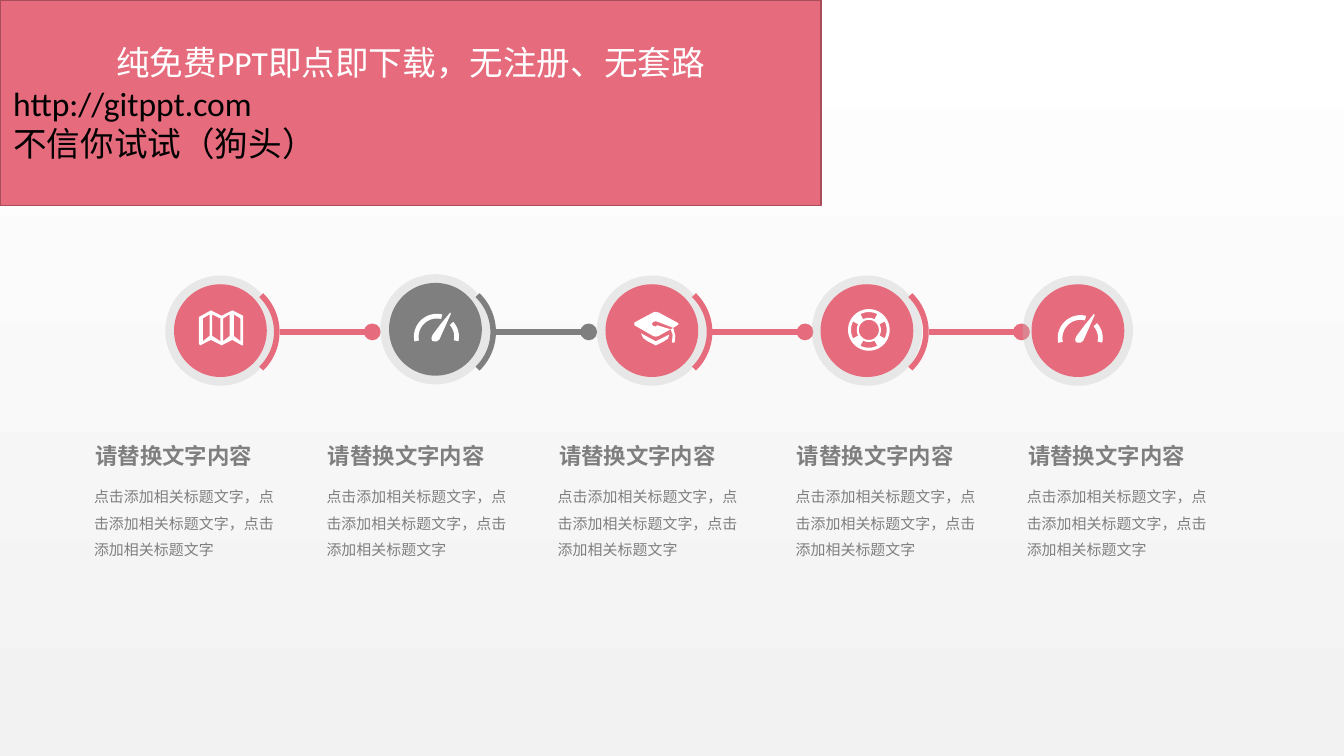
from math import cos, radians, sin
from lxml import etree
from pptx import Presentation
from pptx.dml.color import RGBColor
from pptx.enum.shapes import MSO_CONNECTOR, MSO_SHAPE
from pptx.enum.text import MSO_ANCHOR, MSO_AUTO_SIZE, PP_ALIGN
from pptx.oxml.ns import qn
from pptx.util import Inches, Pt

OVAL, RECT, ARC = MSO_SHAPE.OVAL, MSO_SHAPE.RECTANGLE, MSO_SHAPE.ARC
LINE = MSO_CONNECTOR.STRAIGHT
MID, TOP = MSO_ANCHOR.MIDDLE, MSO_ANCHOR.TOP
LEFT, MIDDLE = PP_ALIGN.LEFT, PP_ALIGN.CENTER
GROW, FIXED = MSO_AUTO_SIZE.SHAPE_TO_FIT_TEXT, MSO_AUTO_SIZE.NONE

WIDTH = 10
HEIGHT = WIDTH * 9 / 16

THEME = {
    "pink": "E66C7D", "grey": "7F7F7F", "halo": "BFBFBF", "edge": "A94D5A",
    "white": "FFFFFF", "black": "000000", "fog": "F2F2F2",
    "head": 12, "body": 8, "promo": 18,
    "sans": "Calibri", "text": "Arial",
}

PROMO = [
    ("纯免费PPT即点即下载，无注册、无套路", "white", MIDDLE),
    ("http://gitppt.com", "black", LEFT),
    ("不信你试试（狗头）", "black", LEFT),
]
HEAD = "请替换文字内容"
BODY = "点击添加相关标题文字，点击添加相关标题文字，点击添加相关标题文字"

STEPS = [
    {"x": 1.23, "y": 2.05, "col": 0.63, "tint": "pink", "icon": "map", "off": (0.25, 0.26)},
    {"x": 2.83, "y": 2.04, "col": 2.36, "tint": "grey", "icon": "gauge", "off": (0.25, 0.28)},
    {"x": 4.44, "y": 2.05, "col": 4.08, "tint": "pink", "icon": "cap", "off": (0.28, 0.27)},
    {"x": 6.04, "y": 2.05, "col": 5.85, "tint": "pink", "icon": "buoy", "off": (0.27, 0.25)},
    {"x": 7.61, "y": 2.05, "col": 7.57, "tint": "pink", "icon": "gauge", "off": (0.26, 0.28)},
]
HALO, DISC = 0.82, 0.69
AXIS, REACH, SWEEP = 2.47, 0.38, 46
LINK_X, PITCH, LINK_W = 2.08, 1.61, 0.69


def curve(mid, r, start, end):
    count = max(8, abs(end - start) // 6)
    turns = [radians(start + (end - start) * i / count) for i in range(count + 1)]
    return [(mid[0] + r * cos(t), mid[1] + r * sin(t)) for t in turns]


def band(mid, outer, inner, start, end):
    return curve(mid, outer, start, end) + curve(mid, inner, end, start)


DIAL, HUB = (17, 18.5), (15.5, 15.5)
ICONS = {
    "map": [
        [(0, 5), (9, 0), (17, 4), (25, 0), (33, 4), (33, 26), (32, 26),
         (25, 22), (17, 26), (9, 22), (1, 26), (0, 25)],
        [(3, 6), (8, 3), (8, 19), (3, 23)],
        [(10, 3), (16, 6), (16, 23), (10, 19)],
        [(18, 6), (23, 3), (23, 19), (18, 23)],
        [(26, 3), (31, 6), (31, 23), (26, 19)],
    ],
    "gauge": [
        [(14, 17), (13, 19.5), (13.5, 21.5), (15, 22), (17, 22), (19, 20.5),
         (27.5, 1.5), (27, 0.5), (20, 9)],
        band(DIAL, 17, 13.5, 168, 284),
        band(DIAL, 16.5, 13, 318, 372),
    ],
    "cap": [
        [(32, 8), (18, 0.5), (16, 0), (14, 0.5), (0, 8), (0, 10), (14, 18),
         (16, 18.5), (18, 18), (27, 13), (17, 10), (16, 11), (14, 10.5),
         (13, 9), (14, 7.5), (16, 7), (19, 8), (29, 12), (32, 10), (33, 9)],
        [(5, 16), (6.5, 19.5), (10, 22), (16, 25), (22, 22), (25, 20),
         (26, 17), (16, 22)],
        [(28, 23), (30, 23), (30.5, 18), (29, 12), (27, 13), (28.5, 17)],
    ],
    "buoy": [curve(HUB, 15.5, 0, 360), curve(HUB, 7.5, 0, 360)]
    + [band(HUB, 13.3, 9, a - 28, a + 28) for a in (0, 90, 180, 270)],
}


def tone(name):
    return RGBColor.from_string(THEME[name])


def write(frame, text, size="body", font="sans", color="grey", bold=False,
          align=LEFT, space=None, first=True):
    para = frame.paragraphs[0] if first else frame.add_paragraph()
    para.alignment, para.line_spacing = align, space
    run = para.add_run()
    run.text = text
    run.font.size, run.font.bold = Pt(THEME[size]), bold
    run.font.name, run.font.color.rgb = THEME[font], tone(color)


def frame_of(shape, pad, anchor=TOP, wrap=True, fit=FIXED):
    frame = shape.text_frame
    frame.word_wrap, frame.auto_size, frame.vertical_anchor = wrap, fit, anchor
    frame.margin_left = frame.margin_right = Inches(pad[0])
    frame.margin_top = frame.margin_bottom = Inches(pad[1])
    return frame


def paint(shape, fill=None, edge=None, width=1):
    shape.shadow.inherit = False
    if fill:
        shape.fill.solid()
        shape.fill.fore_color.rgb = tone(fill)
    else:
        shape.fill.background()
    if edge:
        shape.line.color.rgb, shape.line.width = tone(edge), Pt(width)
    else:
        shape.line.fill.background()
    return shape


def put(slide, kind, *box):
    return slide.shapes.add_shape(kind, *map(Inches, box))


def add_icon(slide, name, left, top):
    rings = [[(Inches(left + x / 100), Inches(top + y / 100)) for x, y in ring]
             for ring in ICONS[name]]
    pen = slide.shapes.build_freeform(*rings[0][0])
    for i, ring in enumerate(rings):
        if i:
            pen.move_to(*ring[0])
        pen.add_line_segments(ring[1:], close=True)
    paint(pen.convert_to_shape(), "white")


def add_badge(slide, step):
    x, y = step["x"], step["y"]
    gap = (HALO - DISC) / 2
    halo = paint(put(slide, OVAL, x, y, HALO, HALO), "halo")
    shade = halo.fill._xPr.find(".//" + qn("a:srgbClr"))
    etree.SubElement(shade, qn("a:alpha"), val="30000")
    paint(put(slide, OVAL, x + gap, y + gap, DISC, DISC), step["tint"])
    dx, dy = step["off"]
    add_icon(slide, step["icon"], x + dx, y + dy)


def add_link(slide, index, tint):
    x = LINK_X + index * PITCH
    ends = map(Inches, (x, AXIS, x + LINK_W, AXIS))
    link = slide.shapes.add_connector(LINE, *ends)
    link.line.color.rgb, link.line.width = tone(tint), Pt(3)
    etree.SubElement(link.line._get_or_add_ln(), qn("a:tailEnd"), type="oval")
    etree.SubElement(link._element.spPr, qn("a:effectLst"))
    arc = put(slide, ARC, x - 2 * REACH - 0.02, AXIS - REACH, 2 * REACH, 2 * REACH)
    arc.adjustments[0] = (360 - SWEEP) * 0.6
    arc.adjustments[1] = SWEEP * 0.6
    paint(arc, edge=tint, width=3)


def add_note(slide, left):
    for text, dx, top, size, wrap, look in (
        (BODY, 0, 3.52, (1.57, 0.67), True, {"font": "text", "space": 1.5}),
        (HEAD, 0.01, 3.25, (1.31, 0.27), False, {"size": "head", "bold": True}),
    ):
        box = slide.shapes.add_textbox(*map(Inches, (left + dx, top, *size)))
        write(frame_of(box, (0.07, 0.04), wrap=wrap, fit=GROW), text, **look)


def main():
    deck = Presentation()
    deck.slide_width, deck.slide_height = Inches(WIDTH), Inches(HEIGHT)
    slide = deck.slides.add_slide(deck.slide_layouts[6])
    back = slide.background.fill
    back.gradient()
    back.gradient_angle = 90
    for stop, name in zip(back.gradient_stops, ("fog", "white")):
        stop.color.rgb = tone(name)

    for i, step in enumerate(STEPS):
        add_badge(slide, step)
        if i < len(STEPS) - 1:
            add_link(slide, i, step["tint"])
    for step in STEPS:
        add_note(slide, step["col"])

    promo = paint(put(slide, RECT, 0, 0, 6.11, 1.53), "pink", "edge")
    frame = frame_of(promo, (0.1, 0.05), MID)
    for i, (text, color, align) in enumerate(PROMO):
        write(frame, text, size="promo", color=color, align=align, first=i == 0)
    deck.save("out.pptx")


if __name__ == "__main__":
    main()
